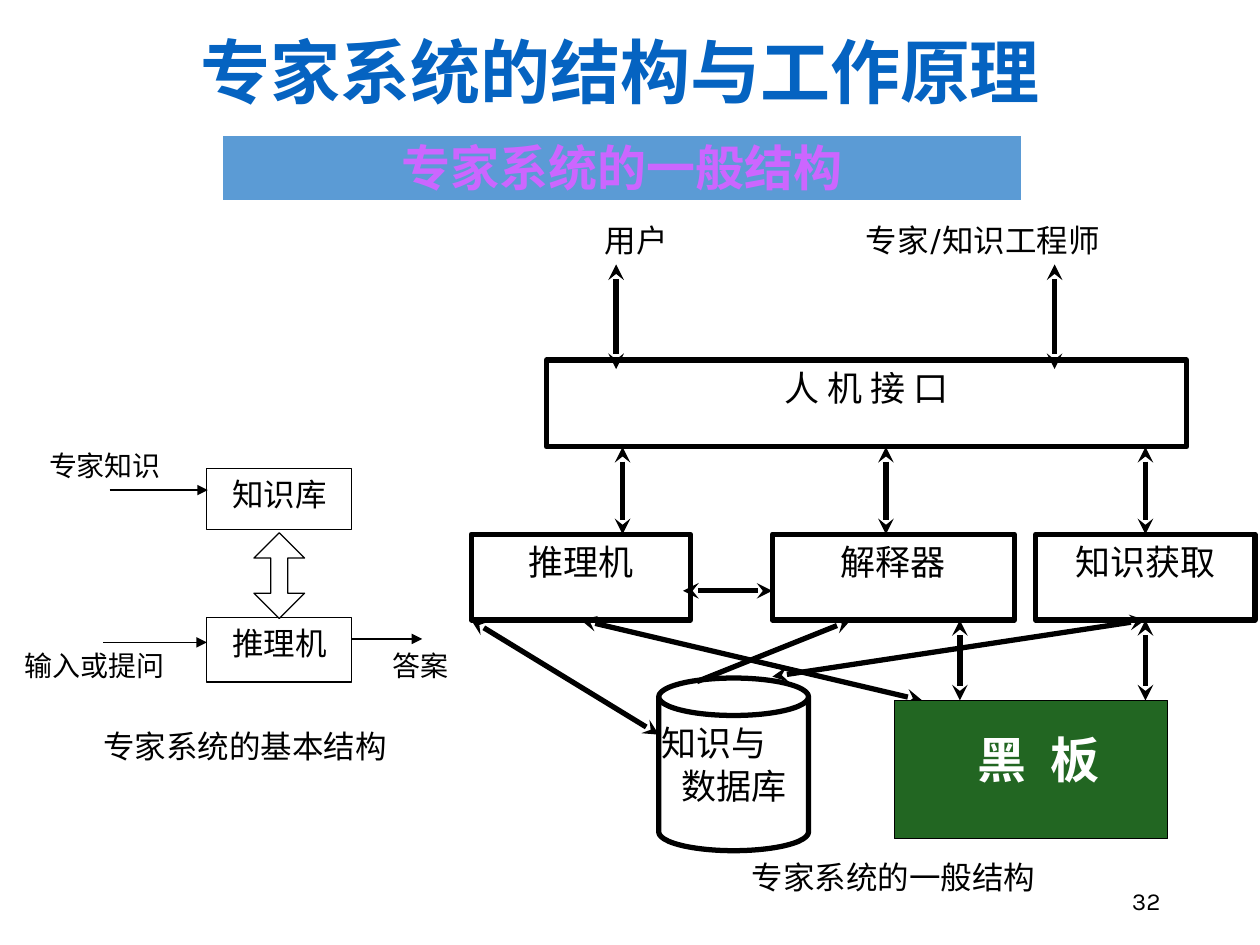
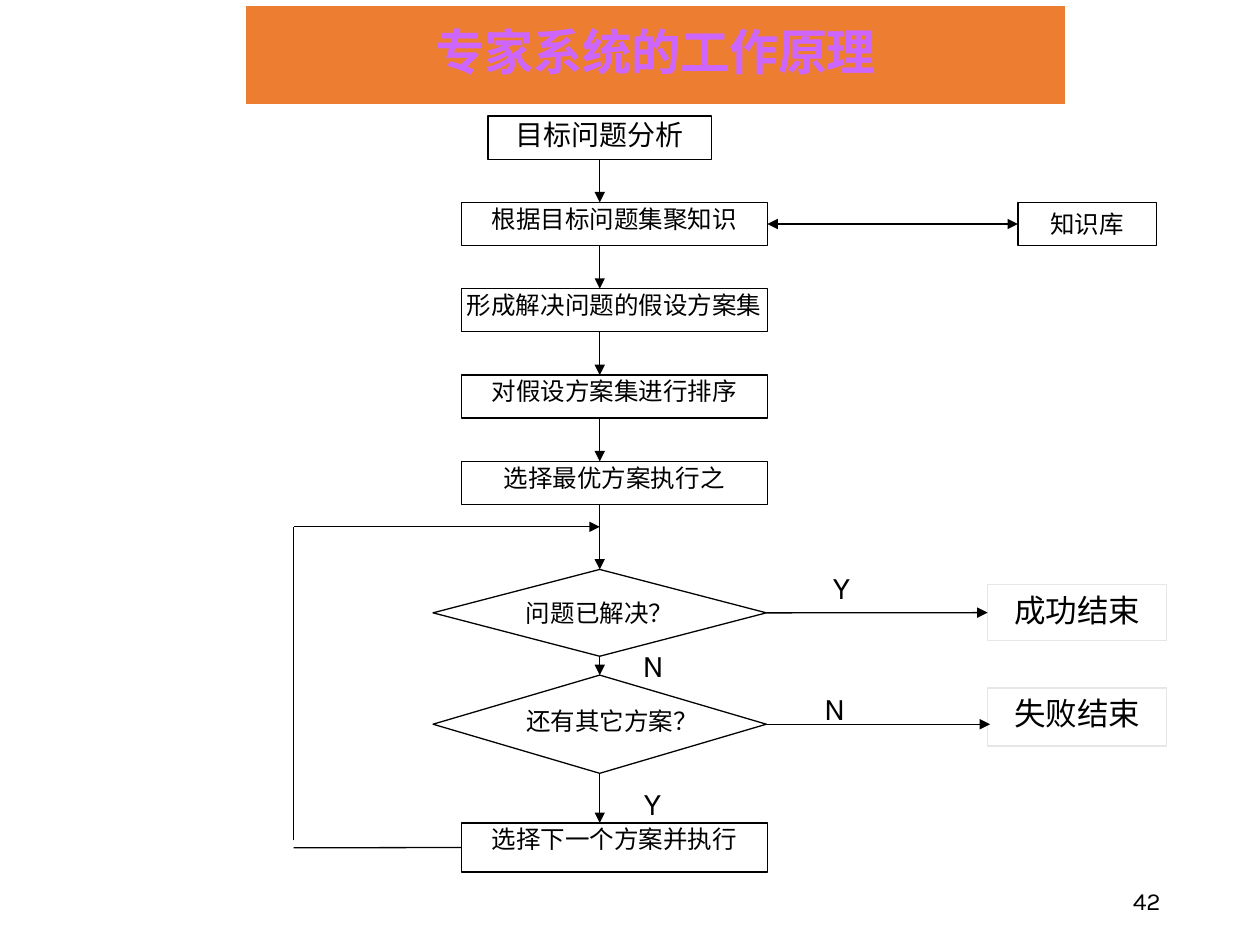
from lxml.etree import SubElement
from pptx import Presentation
from pptx.dml.color import RGBColor
from pptx.enum.shapes import MSO_CONNECTOR, MSO_SHAPE as SHP
from pptx.enum.text import MSO_ANCHOR as ANC, MSO_AUTO_SIZE, PP_ALIGN as AL
from pptx.oxml.ns import qn
from pptx.util import Cm, Pt

BLACK, WHITE, GREY = "000000", "FFFFFF", "E7E6E6"
TITLE_BLUE, BAND_BLUE, BAND_ORANGE = "0563C1", "5B9BD5", "ED7D31"
PURPLE, BOARD_GREEN = "CC66FF", "226622"
SANS, SERIF, LABEL = "Noto Sans CJK SC", "Times New Roman", "Karla"
INSET, FLAT, TIGHT = (0.25, 0.13), (0, 0.13), (0, 0.03)


def rgb(value):
    return RGBColor.from_string(value)


def add_run(p, text, size, font, color=BLACK, bold=False, spacing=0):
    r = p.add_run()
    r.text = text
    r.font.size = Pt(size)
    r.font.bold = bold
    r.font.color.rgb = rgb(color)
    r.font.name = font
    rpr = r.font._element
    SubElement(rpr, qn("a:ea"), typeface=SANS)
    if spacing:
        rpr.set("spc", str(spacing))


def write(sp, lines, size, font, aligns=(AL.CENTER,), anchor=ANC.TOP,
          inset=INSET, wrap=True, **style):
    tf = sp.text_frame
    tf.auto_size = MSO_AUTO_SIZE.NONE
    tf.word_wrap = wrap
    tf.vertical_anchor = anchor
    tf.margin_left = tf.margin_right = Cm(inset[0])
    tf.margin_top = tf.margin_bottom = Cm(inset[1])
    for i, (text, align) in enumerate(zip(lines, aligns)):
        p = tf.add_paragraph() if i else tf.paragraphs[0]
        p.alignment = align
        add_run(p, text, size, font, **style)


def spot(box, x, y, w, h):
    return Cm(box[0] + x), Cm(box[1] + y), Cm(w), Cm(h)


def paint(sp, fill, line, width):
    sp.fill.solid()
    sp.fill.fore_color.rgb = rgb(fill)
    sp.line.color.rgb = rgb(line)
    sp.line.width = Pt(width)


def node(s, box, place, kind=SHP.RECTANGLE, fill=WHITE, line=BLACK, width=0.75):
    sp = s.shapes.add_shape(kind, *spot(box, *place))
    sp.shadow.inherit = False
    paint(sp, fill, line, width)
    return sp


def label(s, box, place, text, size=18, font=LABEL, align=AL.LEFT,
          anchor=ANC.MIDDLE, wrap=False):
    sp = s.shapes.add_textbox(*spot(box, *place))
    write(sp, [text], size, font, [align], anchor, wrap=wrap)


def link(s, box, start, end, width=0.75, head=None, tail="triangle"):
    joined = [hasattr(e[0], "shape_id") for e in (start, end)]
    ends = []
    for e, is_joined in zip((start, end), joined):
        x, y = (0, 0) if is_joined else e
        ends += [Cm(box[0] + x), Cm(box[1] + y)]
    c = s.shapes.add_connector(MSO_CONNECTOR.STRAIGHT, *ends)
    if joined[0]:
        c.begin_connect(*start)
    if joined[1]:
        c.end_connect(*end)
    c.line.color.rgb = rgb(BLACK)
    c.line.width = Pt(width)
    sppr = c._element.spPr
    ln = sppr.find(qn("a:ln"))
    for tag, arrow in (("a:headEnd", head), ("a:tailEnd", tail)):
        if arrow:
            SubElement(ln, qn(tag), type=arrow)
    SubElement(sppr, qn("a:effectLst"))


def title(s, box, text, size, color, anchor=ANC.MIDDLE):
    sp = s.shapes.title
    sp.left, sp.top, sp.width, sp.height = (Cm(v) for v in box)
    write(sp, [text], size, SANS, anchor=anchor, color=color, bold=True)
    sp.text_frame.paragraphs[0].line_spacing = 0.9
    return sp


def page_number(s, number):
    label(s, (17.93, 17.65), (0, 0, 5.72, 1.02), str(number), 14,
          align=AL.RIGHT, wrap=True)


def general_structure(s, box):
    def heavy(start, end, head="stealth"):
        link(s, box, start, end, 3, head, "stealth")

    face_top, face_bottom, row_top, row_bottom = 2.94, 4.69, 6.45, 8.18
    board_top = 9.8
    face = node(s, box, (1.52, face_top, 12.9, face_bottom - face_top), width=3)
    write(face, ["人 机 接 口"], 20, SERIF)
    modules = []
    for text, x, w in (("推理机", 0, 4.42), ("解释器", 6.07, 4.88),
                       ("知识获取", 11.38, 4.42)):
        sp = node(s, box, (x, row_top, w, row_bottom - row_top), width=3)
        write(sp, [text], 20, SERIF)
        modules.append(sp)
    engine, explainer, learner = modules

    store = node(s, box, (3.78, 9.35, 3.02, 3.48), SHP.CAN, width=3)
    write(store, ["知识与", "数据库"], 20, SERIF, (AL.LEFT, AL.CENTER),
          inset=(0.05, 0.13))

    learner_x = 13.59
    for x in (2.92, 11.76):
        heavy((x, 1.01), (x, 3.12))
    for x in (3.05, 8.36):
        heavy((x, face_bottom), (x, row_top))
    heavy((learner_x, face_bottom), (learner, 0))
    heavy((0, row_bottom), (3.78, 10.49))
    heavy((4.55, 9.42), (7.65, row_bottom), None)
    heavy((9.85, board_top), (9.85, row_bottom))
    heavy((learner_x, board_top), (learner, 2))
    heavy((9.09, board_top), (engine, 2))
    heavy((4.27, 7.59), (6.07, 7.59))
    heavy((6.07, 9.32), (learner, 2))

    board = node(s, box, (8.53, board_top, 5.51, 2.79), fill=BOARD_GREEN)
    write(board, ["黑 板"], 28, SERIF, anchor=ANC.MIDDLE, color=WHITE,
          bold=True, spacing=350)
    board.text_frame.margin_left = Cm(0.55)
    board.text_frame.margin_bottom = Cm(0.55)
    label(s, box, (2.44, 0, 2, 1.02), "用户")
    label(s, box, (7.7, 0, 5.6, 1.02), "专家/知识工程师")
    label(s, box, (3.53, box[3] - 1.02, 9.96, 1.02), "专家系统的一般结构",
          align=AL.CENTER, wrap=True)


def basic_structure(s, box):
    x, w = 3.92, 2.92
    for text, y, h in (("知识库", 0.53, 1.22), ("推理机", 3.53, 1.3)):
        write(node(s, box, (x, y, w, h)), [text], 18, SERIF)
    arrow = node(s, box, (x + w / 2 - 0.51, 1.82, 1.02, 1.73), SHP.UP_DOWN_ARROW)
    arrow.adjustments[1] = 0.337
    for text, left, width in (("输入或提问", 0, 3.43), ("答案", 7.42, 2.29)):
        sp = node(s, box, (left, 4.03, width, 1.57), line=WHITE)
        write(sp, [text], 16, SANS, [AL.LEFT])
    label(s, box, (0.49, 0, 2.92, 1.3), "专家知识", 16, SANS, anchor=ANC.TOP)
    link(s, box, (1.96, 0.96), (x + 0.02, 0.96))
    link(s, box, (1.83, 4.03), (x, 4.03))
    link(s, box, (x + w, 3.96), (8.26, 3.96))
    label(s, box, (1.58, box[3] - 1.02, 6.35, 1.02), "专家系统的基本结构")


def flowchart(s, box):
    def step(place, text, size=14, font=SERIF, inset=TIGHT,
             kind=SHP.FLOWCHART_PROCESS, line=BLACK):
        sp = node(s, box, place, kind, line=line)
        write(sp, [text], size, font, inset=inset)
        return sp

    def decision(y, h, text):
        return step((axis - 3.36, y, 6.72, h), text, inset=FLAT,
                    kind=SHP.FLOWCHART_DECISION)

    axis, left, wide, tall, pitch = 6.17, 3.38, 6.17, 0.87, 1.74
    first = step((axis - 2.25, 0, 4.5, tall), "目标问题分析", 16)
    texts = ("根据目标问题集聚知识", "形成解决问题的假设方案集",
             "对假设方案集进行排序", "选择最优方案执行之")
    steps = [step((left, pitch * i, wide, tall), text)
             for i, text in enumerate(texts, 1)]
    store = step((14.6, pitch, 2.79, tall), "知识库", font=SANS, inset=FLAT)
    solved = decision(9.14, 1.75, "问题已解决？")
    more = decision(11.27, 1.98, "还有其它方案？")
    retry = step((left, 14.25, wide, 0.99), "选择下一个方案并执行")
    success, _ = [step((13.99, y, 3.61, h), text, 18, SANS, FLAT, line=GREY)
                  for text, y, h in (("成功结束", 9.45, 1.12),
                                     ("失败结束", 11.53, 1.17))]

    link(s, box, (first, 2), (axis, pitch))
    for i in range(1, 4):
        link(s, box, (axis, pitch * i + tall), (axis, pitch * (i + 1)))
    link(s, box, (axis, pitch * 4 + tall), (solved, 0))
    link(s, box, (solved, 2), (more, 0))
    link(s, box, (more, 2), (axis, 14.25))
    link(s, box, (steps[0], 3), (store, 1), head="triangle")
    link(s, box, (solved, 3), (success, 1))
    link(s, box, (more, 3), (14.04, 12.26))
    link(s, box, (retry, 1), (0, 14.75), tail=None)
    link(s, box, (0, 14.6), (0, 8.28), tail=None)
    link(s, box, (0, 8.28), (axis, 8.28))
    for text, x, y in (("Y", 10.62, 8.99), ("N", 6.78, 10.56),
                       ("N", 10.44, 11.43), ("Y", 6.81, 13.33)):
        label(s, box, (x, y, 1.1, 1.02), text)


def structure_slide(prs):
    s = prs.slides.add_slide(prs.slide_layouts[5])
    title(s, (1.8, 0.46, 21.41, 2.13), "专家系统的结构与工作原理", 40, TITLE_BLUE)
    page_number(s, 32)
    band = node(s, (4.45, 2.69), (0, 0, 16.18, 1.4), fill=BAND_BLUE,
                line=WHITE, width=3)
    write(band, ["专家系统的一般结构"], 28, SANS, anchor=ANC.BOTTOM,
          color=PURPLE, bold=True)
    general_structure(s, (9.5, 4.32, 15.8, 13.87))
    basic_structure(s, (0.25, 8.92, 9.7, 6.63))


def principle_slide(prs):
    s = prs.slides.add_slide(prs.slide_layouts[5])
    band = title(s, (4.95, 0.1, 16.54, 2.01), "专家系统的工作原理", 28, PURPLE)
    paint(band, BAND_ORANGE, WHITE, 0.75)
    page_number(s, 42)
    flowchart(s, (5.92, 2.34, 17.6, 15.25))


def main():
    prs = Presentation()
    prs.slide_width, prs.slide_height = Cm(25.4), Cm(19.05)
    structure_slide(prs)
    principle_slide(prs)
    prs.save("out.pptx")


if __name__ == "__main__":
    main()
